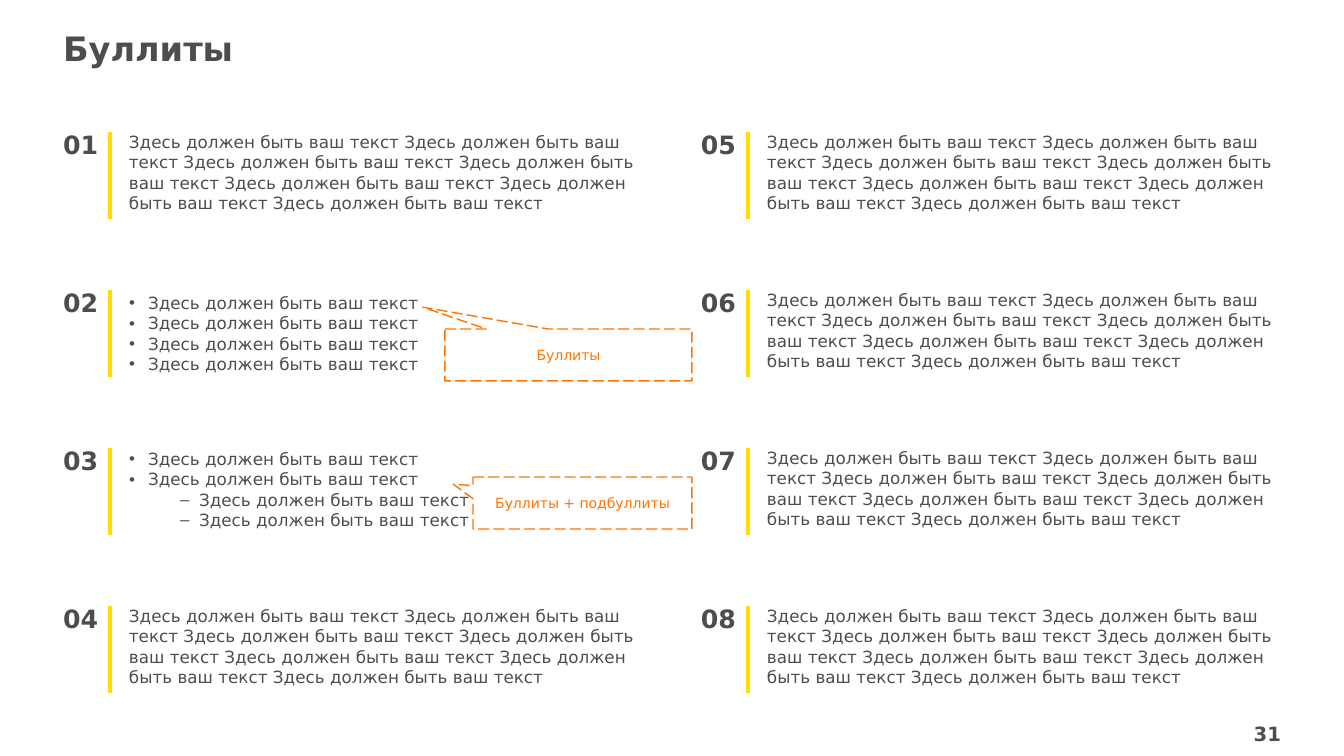
"""Build a slide of eight numbered text blocks with bullet examples."""
from dataclasses import dataclass

from lxml import etree
from pptx import Presentation
from pptx import util as u
from pptx.dml import color
from pptx.enum import dml, shapes, text
from pptx.oxml import ns

SLIDE_W, SLIDE_H = 1344, 756
EMU_PER_PX = 12192000 / SLIDE_W
PHRASE = "Здесь должен быть ваш текст"
PASSAGE = " ".join([PHRASE] * 7)
ROWS, ROW_PITCH, COLUMN_PITCH = 4, 158, 638
BULLETS = {0: (19, "•"), 1: (70, "–")}
HANGING = 19


@dataclass(frozen=True)
class Theme:
    """Colours, font and type sizes of the slide."""
    font: str = "DejaVu Sans"
    ink: str = "4D4D4F"
    rule: str = "FFDD00"
    note: str = "FF7500"
    paper: str = "FFFFFF"
    title: int = 24
    number: int = 18
    page: int = 14
    body: int = 12
    callout: int = 10


THEME = Theme()


def px(length):
    """Turn slide pixels into EMU."""
    return u.Emu(round(length * EMU_PER_PX))


def rgb(code):
    """Turn a hex code into a colour."""
    return color.RGBColor.from_string(code)


def place(part, box):
    """Move a part to a left, top, width, height box."""
    part.left, part.top, part.width, part.height = map(px, box)


def write(part, wording, size, ink=THEME.ink, bold=False,
          align=text.PP_ALIGN.LEFT, anchor=text.MSO_ANCHOR.TOP, inset=(0, 0),
          fit=text.MSO_AUTO_SIZE.SHAPE_TO_FIT_TEXT):
    """Fill a part with evenly formatted paragraphs."""
    frame = part.text_frame
    frame.text = wording
    frame.word_wrap = True
    frame.auto_size = fit
    frame.vertical_anchor = anchor
    frame.margin_left = frame.margin_right = px(inset[0])
    frame.margin_top = frame.margin_bottom = px(inset[1])
    for paragraph in frame.paragraphs:
        paragraph.alignment = align
        paragraph.space_before = u.Pt(0)
        for run in paragraph.runs:
            run.font.name = THEME.font
            run.font.size = u.Pt(size)
            run.font.bold = bold
            run.font.color.rgb = rgb(ink)


def add_text(owner, box, wording, size, **style):
    """Add a text box to a slide or group."""
    label = owner.shapes.add_textbox(*map(px, box))
    write(label, wording, size, **style)


def add_marker(slide, left, top, number):
    """Group a block number with its vertical rule."""
    marker = slide.shapes.add_group_shape()
    add_text(marker, (left, top - 3, 44, 30), f"{number:02d}", THEME.number, bold=True)
    rule_x = left + 47
    rule = marker.shapes.add_connector(
        shapes.MSO_CONNECTOR.STRAIGHT, px(rule_x), px(top), px(rule_x), px(top + 87))
    rule.line.color.rgb = rgb(THEME.rule)
    rule.line.width = u.Pt(2.25)
    etree.SubElement(rule._element.spPr, ns.qn("a:effectLst"))


def fill_list(bullet_list, box, levels):
    """Place a body placeholder and give each paragraph its level and bullet."""
    place(bullet_list, box)
    write(bullet_list, "\n".join([PHRASE] * len(levels)), THEME.body)
    for paragraph, level in zip(bullet_list.text_frame.paragraphs, levels):
        paragraph.level = level
        indent, sign = BULLETS[level]
        properties = paragraph._p.get_or_add_pPr()
        properties.set("marL", str(px(indent)))
        properties.set("indent", str(px(-HANGING)))
        etree.SubElement(properties, ns.qn("a:buChar")).set("char", sign)


def add_block(slide, left, top, number, bullets):
    """Build one numbered block holding either a passage or a bullet list."""
    add_marker(slide, left, top, number)
    text_left = left + 66
    if number in bullets:
        bullet_list, drop, levels = bullets[number]
        fill_list(bullet_list, (text_left, top + drop, 514, 82), levels)
    else:
        add_text(slide, (text_left, top, 514, 82), PASSAGE, THEME.body)


def add_callout(slide, box, wording, tip):
    """Add a dashed callout whose tip is relative to its box."""
    callout = slide.shapes.add_shape(
        shapes.MSO_SHAPE.RECTANGULAR_CALLOUT, *map(px, box))
    callout.shadow.inherit = False
    callout.adjustments[0], callout.adjustments[1] = tip
    callout.fill.solid()
    callout.fill.fore_color.rgb = rgb(THEME.paper)
    callout.line.color.rgb = rgb(THEME.note)
    callout.line.width = u.Pt(1)
    callout.line.dash_style = dml.MSO_LINE.LONG_DASH
    write(callout, wording, THEME.callout, ink=THEME.note,
          align=text.PP_ALIGN.CENTER, anchor=text.MSO_ANCHOR.MIDDLE,
          inset=(4, 5), fit=text.MSO_AUTO_SIZE.NONE)


def build_bullets_slide(deck):
    """Build the slide of numbered blocks."""
    slide = deck.slides.add_slide(deck.slide_layouts[3])
    heading, plain_list, nested_list = slide.placeholders
    place(heading, (63, 28, 1103, 40))
    write(heading, "Буллиты", THEME.title, bold=True)
    add_text(slide, (1224, 722, 57, 24), "31", THEME.page, bold=True,
             align=text.PP_ALIGN.RIGHT, anchor=text.MSO_ANCHOR.MIDDLE)
    bullets = {2: (plain_list, 3, (0, 0, 0, 0)),
               3: (nested_list, 1, (0, 0, 1, 1))}
    for index in range(2 * ROWS):
        column, row = divmod(index, ROWS)
        add_block(slide, 63 + column * COLUMN_PITCH, 132 + row * ROW_PITCH,
                  index + 1, bullets)
    add_callout(slide, (445, 329, 247, 52), "Буллиты", (-0.59, -0.92))
    add_callout(slide, (473, 477, 219, 52), "Буллиты + подбуллиты", (-0.59, -0.36))


def main():
    """Create and save the deck."""
    deck = Presentation()
    deck.slide_width, deck.slide_height = px(SLIDE_W), px(SLIDE_H)
    build_bullets_slide(deck)
    deck.save("out.pptx")


if __name__ == "__main__":
    main()
